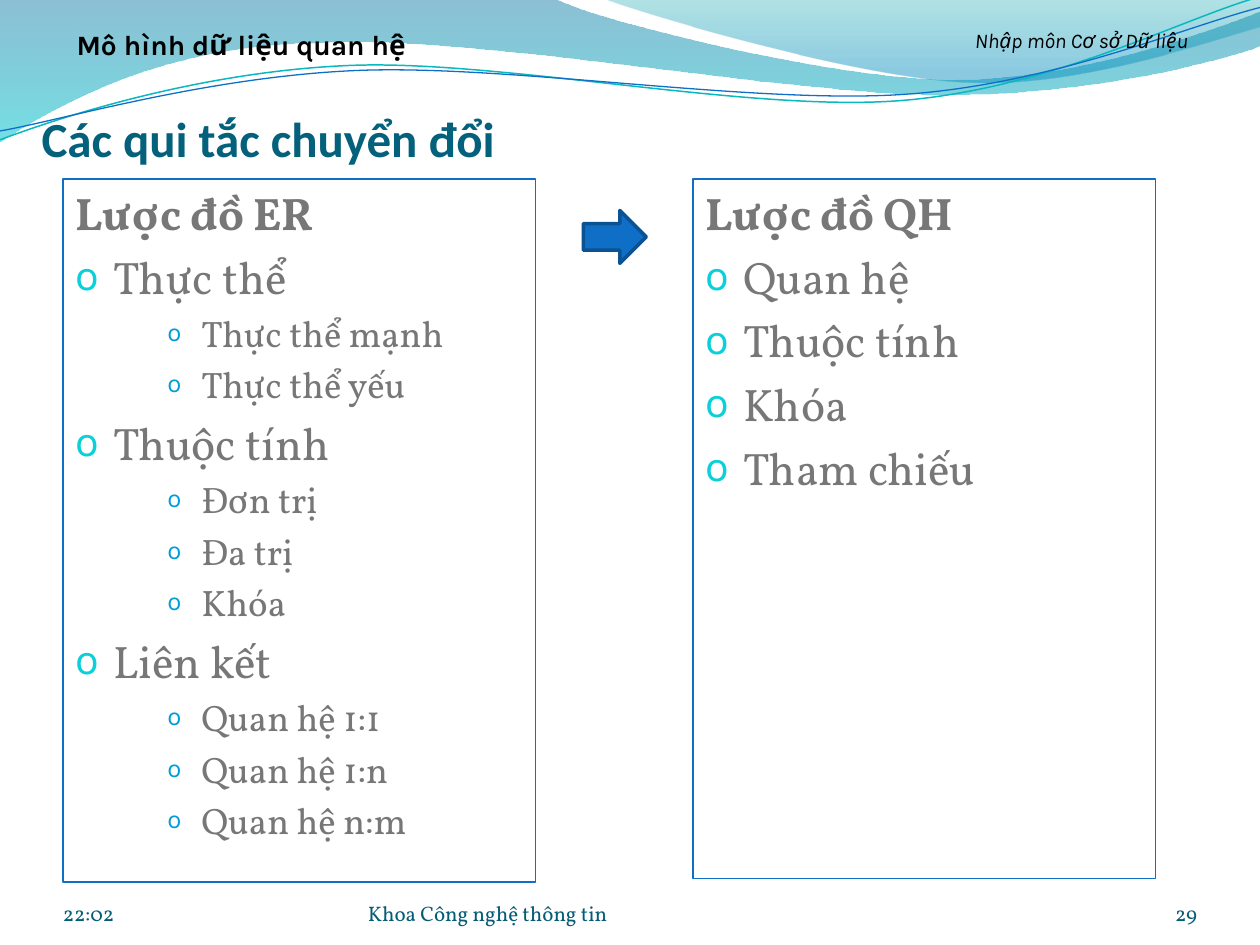
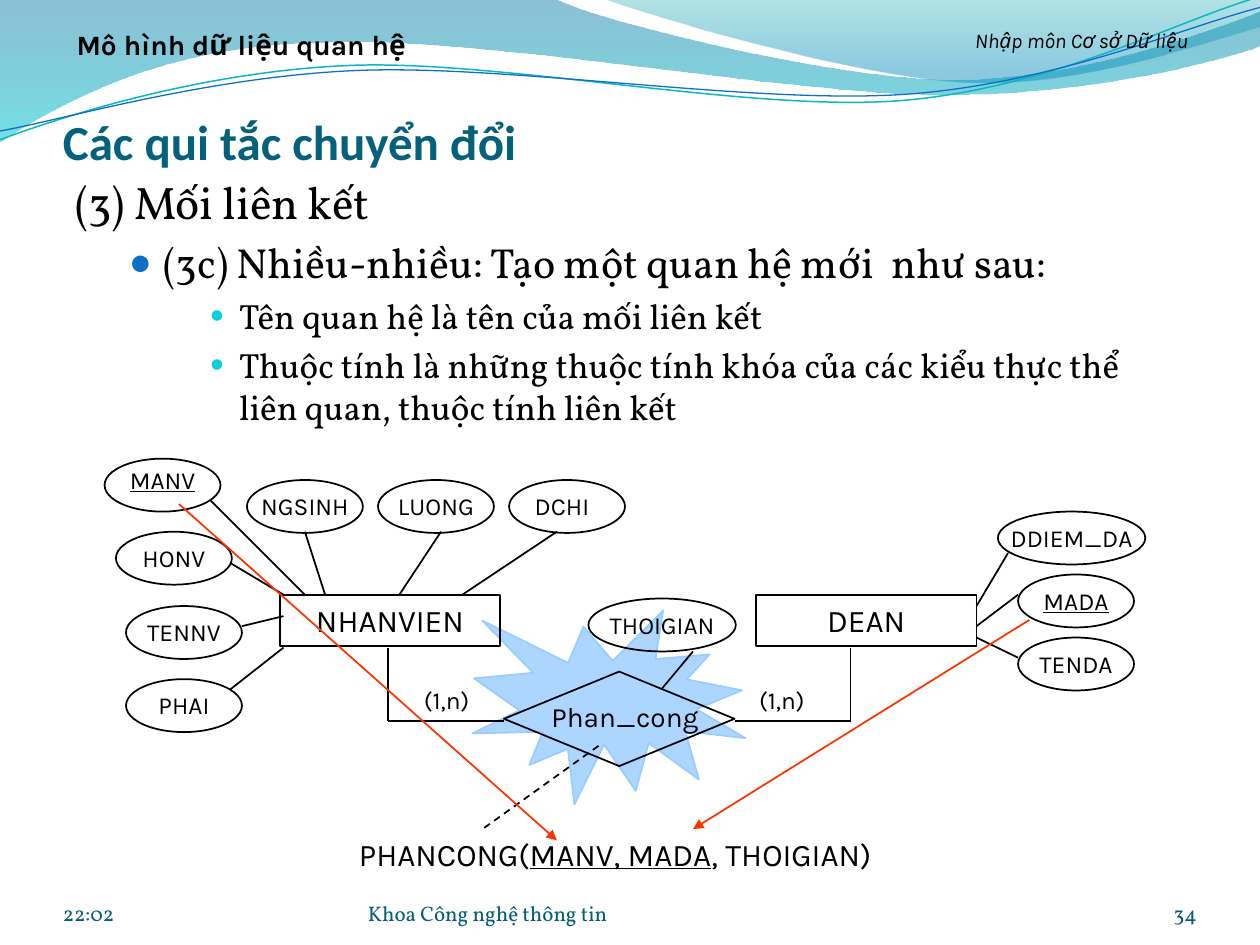
import math

from lxml import etree
from pptx import Presentation, util as u
from pptx.dml.color import RGBColor
from pptx.enum import dml, shapes, text
from pptx.oxml import ns

BODY, LABEL, HEADING = "Vollkorn", "Karla", "Calibri"
BLACK, GREY, TITLE, FOOTER = "000000", "777777", "04617B", "045D75"
BLUE, CYAN, SKY, RED, PALE = "0F6FC6", "0BD0D9", "009DD9", "FF3300", "99CCFF"
ARROW_EDGE = "0B5292"
SHAPE, ALIGN, ANCHOR = shapes.MSO_SHAPE, text.PP_ALIGN, text.MSO_ANCHOR

# Outlines: a start point, then line ends (2 numbers) or curves (6 numbers).
WIDE_WAVE = [(0, -0.01), (4.4, -0.01), (4.76, 0.17, 6.64, 0.63, 7.58, 0.63),
             (8.53, 0.63, 9.58, 0.26, 10, 0.09), (10.01, 0.36),
             (9.83, 0.44, 8.7, 0.76, 7.46, 0.75), (6.22, 0.75, 3.82, 0.28, 2.57, 0.34),
             (1.29, 0.35, 0.46, 0.83, -0.01, 1.13), (0, -0.01)]
RIGHT_WAVE = [(4.79, -0.01), (5.09, 0.11, 6.82, 0.62, 7.69, 0.65),
              (8.56, 0.69, 9.61, 0.32, 10, 0.21), (10, 0), (4.79, -0.01)]
TEAL_LINE = [(0, 1.11), (0.48, 0.93, 1.58, 0.57, 2.77, 0.52),
             (3.95, 0.47, 5.93, 0.89, 7.13, 0.8), (8.33, 0.71, 9.38, 0.15, 9.98, -0.02)]
BLUE_LINE = [(0, 1.04), (0.47, 0.96, 1.64, 0.61, 2.83, 0.56),
             (4.03, 0.51, 5.97, 0.83, 7.17, 0.75), (8.36, 0.67, 9.41, 0.21, 10, 0.06)]
LINE_TILT = -2.7

# Paragraph styles: level, left edge, first-line indent, bullet, its font, colour, size
PLAIN = (0, 0.3, -0.3, None, None, None, None)
ITEM = (0, 0.3, -0.3, "o", LABEL, CYAN, 95)
SUBITEM = (2, 1, -0.27, "o", LABEL, SKY, 70)
POINT = (1, 0.7, -0.27, "●", HEADING, BLUE, 85)
SUBPOINT = (3, 1.3, -0.23, "●", HEADING, CYAN, 65)


def rgb(value):
    return RGBColor.from_string(value)


def inches(*values):
    return [u.Inches(value) for value in values]


def add_child(parent, tag, **attributes):
    return etree.SubElement(parent, ns.qn(tag), attributes)


def set_opacity(colour, percent):
    add_child(colour, "a:alpha", val=str(percent * 1000))


def set_line(line, colour, width):
    line.color.rgb = rgb(colour)
    line.width = u.Pt(width)


def add_span(para, words, size, font, colour, bold=False, italic=False, underline=False):
    span = para.add_run()
    span.text = words
    span.font.size, span.font.name = u.Pt(size), font
    span.font.color.rgb = rgb(colour)
    span.font.bold, span.font.italic, span.font.underline = bold, italic, underline


def prepare_frame(box, anchor=ANCHOR.TOP, insets=(0.1, 0.05, 0.1, 0.05)):
    frame = box.text_frame
    frame.word_wrap = True
    frame.vertical_anchor = anchor
    (frame.margin_left, frame.margin_top,
     frame.margin_right, frame.margin_bottom) = inches(*insets)
    return frame


def write(box, words, size, font, colour, align=ALIGN.LEFT,
          anchor=ANCHOR.TOP, insets=(0, 0.05, 0, 0.05), **style):
    para = prepare_frame(box, anchor, insets).paragraphs[0]
    para.alignment = align
    add_span(para, words, size, font, colour, **style)


def add_box(page, at):
    return page.shapes.add_textbox(*inches(*at))


def add_label(page, at, words, size=14, **style):
    write(add_box(page, at), words, size, LABEL, BLACK, ALIGN.CENTER, **style)


def add_outline(page, kind, at, line=BLACK, width=1, fill=None):
    shape = page.shapes.add_shape(kind, *inches(*at))
    shape.shadow.inherit = False
    set_line(shape.line, line, width)
    if fill:
        shape.fill.solid()
        shape.fill.fore_color.rgb = rgb(fill)
    else:
        shape.fill.background()
    return shape


def add_line(page, start, end, colour=BLACK, dashed=False, arrow=False):
    line = page.shapes.add_connector(shapes.MSO_CONNECTOR.STRAIGHT, *inches(*start, *end))
    set_line(line.line, colour, 1)
    if dashed:
        line.line.dash_style = dml.MSO_LINE.DASH
    if arrow:
        add_child(line.line._get_or_add_ln(), "a:tailEnd", type="triangle")
    add_child(line._element.spPr, "a:effectLst")


def add_curve(page, outline, closed, tilt=0):
    """Build the outline level, join its control points into curves, then tilt it."""
    angle = math.radians(tilt)
    turn = complex(math.cos(angle), math.sin(angle))
    points = [complex(*part[i:i + 2]) / turn for part in outline
              for i in range(0, len(part), 2)]
    corners = [inches(point.real, point.imag) for point in points]
    builder = page.shapes.build_freeform(*corners[0])
    builder.add_line_segments(corners[1:], close=closed)
    shape = builder.convert_to_shape()
    shape.shadow.inherit = False

    segments = iter(list(shape._element.iter(ns.qn("a:lnTo"))))
    for part in outline[1:]:
        first = next(segments)
        if len(part) == 6:
            curve = etree.Element(ns.qn("a:cubicBezTo"))
            first.addprevious(curve)
            for segment in (first, next(segments), next(segments)):
                curve.append(segment[0])
                segment.getparent().remove(segment)

    centre = complex(shape.left + shape.width / 2, shape.top + shape.height / 2)
    shift = centre * turn - centre
    shape.left += round(shift.real)
    shape.top += round(shift.imag)
    shape.rotation = tilt
    return shape


def add_wave(page, outline, stops):
    """Stops are (position, colour, opacity in percent), from top to bottom."""
    wave = add_curve(page, outline, closed=True)
    wave.line.fill.background()
    wave.fill.gradient()
    wave.fill.gradient_angle = 270
    for stop, (position, colour, opacity) in zip(wave.fill.gradient_stops, stops):
        stop.position = position
        stop.color.rgb = rgb(colour)
        set_opacity(stop._gs[0], opacity)


def add_wavy_line(page, outline, colour, width):
    curve = add_curve(page, outline, closed=False, tilt=LINE_TILT)
    curve.fill.background()
    set_line(curve.line, colour, width)


def add_list(box, items, colour):
    """Fill a box with paragraphs given as (words, style, size, bold)."""
    frame = prepare_frame(box)
    for index, (words, style, size, bold) in enumerate(items):
        level, left, indent, bullet, font, bullet_colour, percent = style
        para = frame.paragraphs[0] if index == 0 else frame.add_paragraph()
        para.level, para.alignment = level, ALIGN.LEFT
        para.space_before = u.Pt(size * 0.2)
        props = para._p.get_or_add_pPr()
        props.set("marL", str(u.Inches(left)))
        props.set("indent", str(u.Inches(indent)))
        if bullet:
            add_child(add_child(props, "a:buClr"), "a:srgbClr", val=bullet_colour)
            add_child(props, "a:buSzPct", val=str(percent * 1000))
            add_child(props, "a:buFont", typeface=font)
            add_child(props, "a:buChar", char=bullet)
        else:
            add_child(props, "a:buNone")
        add_span(para, words, size, BODY, colour, bold=bold)


def add_page(deck, number, title_at):
    page = deck.slides.add_slide(deck.slide_layouts[6])
    add_wave(page, WIDE_WAVE, [(0, "0074A1", 45), (1, "00C6CF", 55)])
    add_wave(page, RIGHT_WAVE, [(0, "00A1A9", 30), (0.8, "008BBF", 45)])
    add_wavy_line(page, TEAL_LINE, "0AB8BF", 0.85)
    add_wavy_line(page, BLUE_LINE, BLUE, 0.75)
    write(add_box(page, title_at), "Các qui tắc chuyển đổi", 28, HEADING, TITLE,
          anchor=ANCHOR.BOTTOM, insets=(0, 0.05, 0, 0), bold=True)
    for left, width, words, align in [
            (0.5, 2.33, "22:02", ALIGN.LEFT),
            (2.92, 3.67, "Khoa Công nghệ thông tin", ALIGN.LEFT),
            (8.67, 0.83, str(number), ALIGN.RIGHT)]:
        write(add_box(page, (left, 6.95, width, 0.4)), words, 12, BODY, FOOTER,
              align, ANCHOR.BOTTOM, (0, 0, 0, 0))
    add_label(page, (7.17, 0.17, 2.83, 0.38), "Nhập môn Cơ sở Dữ liệu", 12, italic=True)
    add_label(page, (0.25, 0.17, 3.33, 0.37), "Mô hình dữ liệu quan hệ", 16, bold=True)
    return page


def add_schema(page, at, heading, groups):
    """Draw a framed list; groups maps each item to its subitems."""
    items = [(heading, PLAIN, 26, True)]
    for item, subitems in groups.items():
        items.append((item, ITEM, 26, False))
        items += [(subitem, SUBITEM, 21, False) for subitem in subitems]
    add_list(add_outline(page, SHAPE.RECTANGLE, at, BLUE, 0.75), items, GREY)


def add_entity(page, left, name):
    entity = add_outline(page, SHAPE.RECTANGLE, (left, 4.72, 1.75, 0.41))
    write(entity, name, 18, LABEL, BLACK, ALIGN.CENTER)


def add_attribute(page, left, top, name, width=0.92, shift=0, drop=0.04, key=False):
    """Draw an oval with its name; shift and drop move the name inside it."""
    add_outline(page, SHAPE.OVAL, (left, top, width, 0.42))
    add_label(page, (left + shift, top + drop, width, 0.33), name, underline=key)


def build_rules_page(deck):
    page = add_page(deck, 29, (0.33, 0.83, 9, 0.5))
    add_schema(page, (0.5, 1.42, 3.75, 5.58), "Lược đồ ER", {
        "Thực thể": ["Thực thể mạnh", "Thực thể yếu"],
        "Thuộc tính": ["Đơn trị", "Đa trị", "Khóa"],
        "Liên kết": ["Quan hệ 1:1", "Quan hệ 1:n", "Quan hệ n:m"]})
    add_schema(page, (5.5, 1.42, 3.67, 5.55), "Lược đồ QH", dict.fromkeys(
        ["Quan hệ", "Thuộc tính", "Khóa", "Tham chiếu"], ()))
    add_outline(page, SHAPE.RIGHT_ARROW, (4.63, 1.67, 0.5, 0.42), ARROW_EDGE, 2, BLUE)


def build_many_to_many_page(deck):
    page = add_page(deck, 34, (0.5, 0.67, 9, 0.68))
    add_list(add_box(page, (0.5, 1.33, 9, 5.29)), [
        ("(3) Mối liên kết", PLAIN, 26, False),
        ("(3c) Nhiều-nhiều: Tạo một quan hệ mới  như sau:", POINT, 24, False),
        ("Tên quan hệ là tên của mối liên kết", SUBPOINT, 20, False),
        ("Thuộc tính là những thuộc tính khóa của các kiểu thực thể liên quan, "
         "thuộc tính liên kết", SUBPOINT, 20, False)], BLACK)

    burst = add_outline(page, SHAPE.EXPLOSION1, (3.75, 4.82, 2.18, 1.58), PALE, 1, PALE)
    burst.rotation = 3.5
    set_opacity(burst.fill._xPr.find(ns.qn("a:solidFill"))[0], 80)

    add_entity(page, 6, "DEAN")
    add_attribute(page, 8.08, 5.06, "TENDA")
    add_attribute(page, 7.92, 4.06, "DDIEM_DA", width=1.17)
    add_attribute(page, 8.08, 4.56, "MADA", key=True)

    add_entity(page, 2.22, "NHANVIEN")
    add_attribute(page, 1, 4.81, "TENNV")
    add_attribute(page, 1.96, 3.81, "NGSINH")
    add_attribute(page, 4.04, 3.81, "DCHI", shift=-0.04)
    add_attribute(page, 1, 5.39, "PHAI")
    add_attribute(page, 3, 3.81, "LUONG")
    add_attribute(page, 0.92, 4.22, "HONV")
    add_attribute(page, 0.83, 3.64, "MANV", drop=0, key=True)

    add_outline(page, SHAPE.FLOWCHART_DECISION, (4, 5.33, 1.83, 0.75))
    add_label(page, (4.17, 5.5, 1.58, 0.37), "Phan_cong", 16)
    for left in (2.92, 5.58):
        add_label(page, (left, 5.39, 1.25, 0.33), "(1,n)")
    add_attribute(page, 4.67, 4.75, "THOIGIAN", width=1.17)

    nhanvien_links = [((2.42, 4.72), (1.67, 3.97)), ((2.25, 4.72), (1.83, 4.47)),
                      ((2.25, 4.89), (1.92, 4.97)), ((2.25, 5.14), (1.83, 5.47)),
                      ((2.58, 4.72), (2.42, 4.22)), ((3.17, 4.72), (3.5, 4.22)),
                      ((3.67, 4.72), (4.42, 4.22))]
    dean_links = [((7.75, 4.81), (8, 4.39)), ((7.75, 4.97), (8.08, 4.72)),
                  ((7.75, 5.06), (8.08, 5.22))]
    phan_cong_links = [((3.08, 5.14), (3.08, 5.72)), ((3.08, 5.72), (4, 5.72)),
                       ((6.75, 5.14), (6.75, 5.72)), ((5.83, 5.72), (6.75, 5.72)),
                       ((5.25, 5.47), (5.5, 5.17))]
    for start, end in nhanvien_links + dean_links + phan_cong_links:
        add_line(page, start, end)

    para = prepare_frame(add_box(page, (2.75, 6.58, 4.75, 0.4))).paragraphs[0]
    for words, key in [("PHANCONG(", False), ("MANV, MADA", True), (", THOIGIAN)", False)]:
        add_span(para, words, 18, LABEL, BLACK, underline=key)
    add_line(page, (4.75, 5.92), (3.83, 6.58), dashed=True)
    add_line(page, (1.42, 4), (4.42, 6.67), RED, arrow=True)
    add_line(page, (8.17, 4.92), (5.5, 6.58), RED, arrow=True)


def main():
    deck = Presentation()
    deck.slide_width, deck.slide_height = inches(10, 7.5)
    build_rules_page(deck)
    build_many_to_many_page(deck)
    deck.save("out.pptx")


if __name__ == "__main__":
    main()
